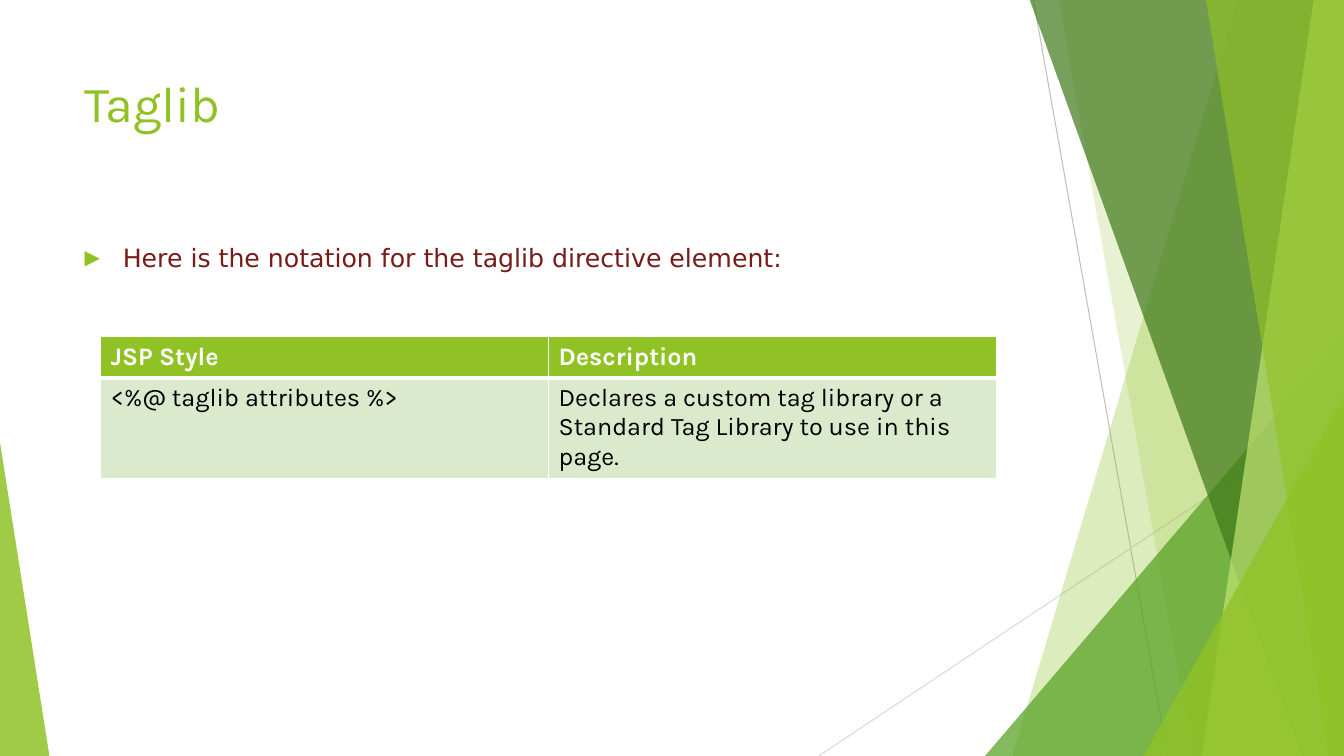
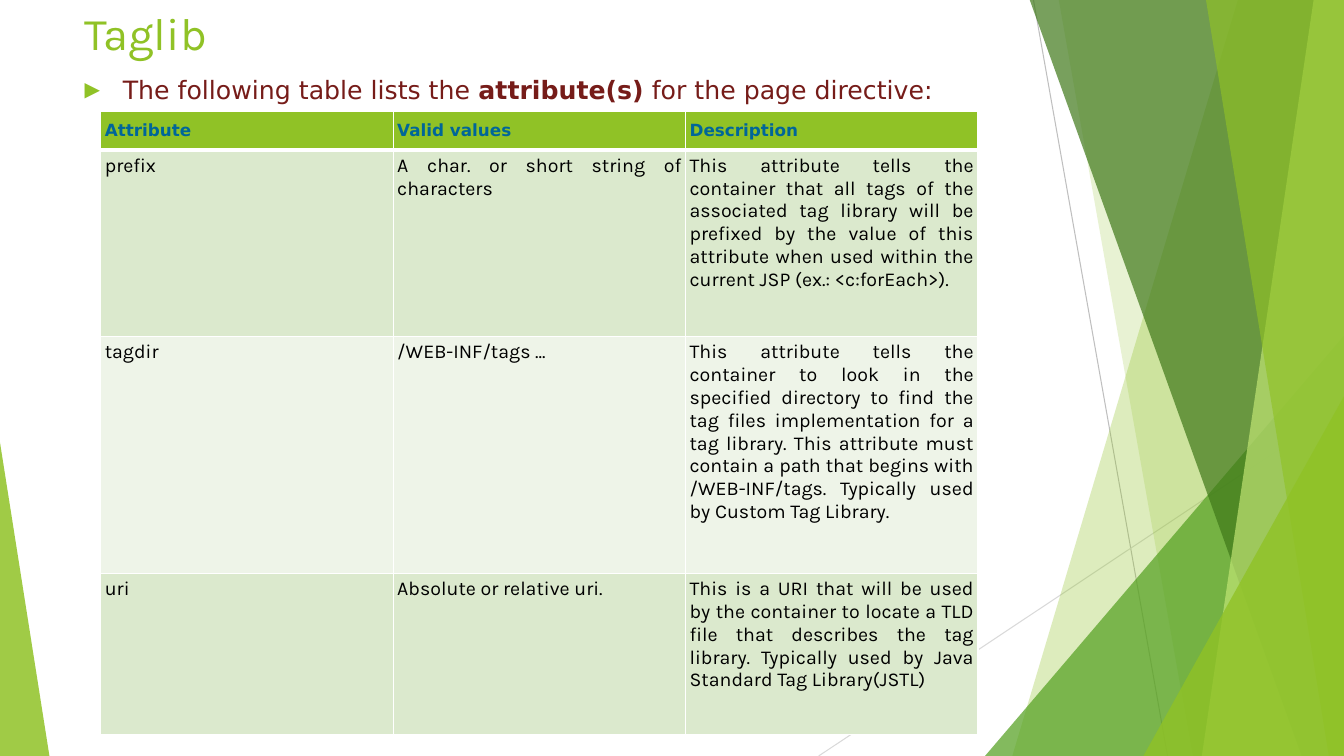
from lxml import etree
from pptx import Presentation
from pptx.dml.color import RGBColor
from pptx.enum import shapes, text
from pptx.oxml.ns import qn
from pptx.util import Inches, Pt

COLORS = {
    "lime": "90C226", "green": "54A021", "forest": "3F7819", "pale": "C0E474",
    "light_line": "D9D9D9", "gray_line": "BFBFBF", "maroon": "761C19",
    "blue": "006699", "white": "FFFFFF", "black": "000000",
    "odd_row": "DBE9CD", "even_row": "EEF4E8",
}
TITLE_FONT, BODY_FONT = "Karla", "DejaVu Sans"
WIDTH, HEIGHT = 13.33, 7.5
LEFT = 0.74

# Start x, start y, end x, end y, colour
LINES = [
    (10.25, 0, 11.58, HEIGHT, "gray_line"),
    (WIDTH, 4.03, 8.12, HEIGHT, "light_line"),
]
# Bands reach the right edge: top x, bottom x, colour, opacity in percent.
# Triangles stand on the bottom edge: left, width, height, tip (0 left, 1 right), colour, opacity.
RIBBONS = [
    ("band", (12.28, 10.04), "lime", 30),
    ("band", (10.5, 11.83), "lime", 20),
    ("triangle", (9.77, 3.56, 4.17, 1), "green", 72),
    ("band", (10.21, 12.91), "forest", 70),
    ("band", (13.03, 11.92), "pale", 70),
    ("band", (11.96, 13.18), "lime", 65),
    ("triangle", (11.34, 1.99, 3.57, 1), "lime", 80),
    ("triangle", (0, 0.49, 3.11, 0), "lime", 85),
]

PAGES = [
    {
        "title": "Taglib", "title_box": (LEFT, 0.67, 9.4, 1.44), "title_size": 36,
        "body": [("Here is the notation for the taglib directive element:", False)],
        "body_box": (LEFT, 2.36, 9.4, 4.24),
        "table": {
            "at": (1, 3.34), "column": 4.44, "heights": [0.41, 0.96],
            "head": {"size": 18, "font": TITLE_FONT, "color": "white"},
            "cell_size": 18,
            "rows": [
                ("JSP Style", "Description"),
                ("<%@ taglib attributes %>",
                 "Declares a custom tag library or a Standard Tag Library to use in this page."),
            ],
        },
    },
    {
        "title": "Taglib", "title_box": (LEFT, 0, 9.4, 0.69), "title_size": 32.4,
        "body": [("The following table lists the ", False), ("attribute(s)", True),
                 (" for the page directive:", False)],
        "body_box": (LEFT, 0.69, 9.61, 6.61),
        "table": {
            "at": (1, 1.11), "column": 2.9, "heights": [0.38, 1.85, 2.35, 1.6],
            "head": {"size": 12, "font": BODY_FONT, "color": "blue"},
            "cell_size": 14, "inset": 0.04, "justify": True,
            "rows": [
                ("Attribute", "Valid values", "Description"),
                ("prefix", "A char. or short string of characters",
                 "This attribute tells the container that all tags of the associated tag library "
                 "will be prefixed by the value of this attribute when used within the current "
                 "JSP (ex.: <c:forEach>)."),
                ("tagdir", "/WEB-INF/tags ...",
                 "This attribute tells the container to look in the specified directory to find "
                 "the tag files implementation for a tag library. This attribute must contain a "
                 "path that begins with /WEB-INF/tags. Typically used by Custom Tag Library."),
                ("uri", "Absolute or relative uri.",
                 "This is a URI that will be used by the container to locate a TLD file that "
                 "describes the tag library. Typically used by Java Standard Tag Library(JSTL)"),
            ],
        },
    },
]


def rgb(name):
    return RGBColor.from_string(COLORS[name])


def inches(values):
    return [Inches(value) for value in values]


def set_font(font, name, size, color, bold=False):
    font.name, font.size, font.bold = name, Pt(size), bold
    font.color.rgb = rgb(color)


def add_child(parent, tag, **attributes):
    return etree.SubElement(parent, qn(tag), attributes)


def add_line(page, x1, y1, x2, y2, color):
    line = page.shapes.add_connector(shapes.MSO_CONNECTOR.STRAIGHT, *inches((x1, y1, x2, y2)))
    line.line.color.rgb = rgb(color)
    line.line.width = Pt(0.75)
    add_child(line.element.spPr, "a:effectLst")
    return line


def add_ribbon(page, kind, place, color, opacity):
    if kind == "band":
        top_x, bottom_x = place
        outline = page.shapes.build_freeform(Inches(top_x), Inches(-0.01))
        corners = [(WIDTH, -0.01), (WIDTH, HEIGHT), (bottom_x, HEIGHT)]
        outline.add_line_segments([inches(corner) for corner in corners], close=True)
        ribbon = outline.convert_to_shape()
    else:
        left, width, height, tip = place
        ribbon = page.shapes.add_shape(shapes.MSO_SHAPE.ISOSCELES_TRIANGLE,
                                       *inches((left, HEIGHT - height, width, height)))
        ribbon.adjustments[0] = tip
    ribbon.shadow.inherit = False
    ribbon.line.fill.background()
    ribbon.fill.solid()
    ribbon.fill.fore_color.rgb = rgb(color)
    fill_color = next(ribbon.element.iter(qn("a:srgbClr")))
    add_child(fill_color, "a:alpha", val=str(opacity * 1000))
    return ribbon


def decorate(layout, page):
    """Draw the background on a page, then move it to the layout all pages share."""
    parts = [add_line(page, *line) for line in LINES]
    parts += [add_ribbon(page, *ribbon) for ribbon in RIBBONS]
    for part in parts:
        layout.shapes.element.append(part.element)


def add_title(page, content):
    title = page.shapes.title
    title.left, title.top, title.width, title.height = inches(content["title_box"])
    frame = title.text_frame
    frame.text = content["title"]
    frame.vertical_anchor = text.MSO_ANCHOR.TOP
    frame.auto_size = text.MSO_AUTO_SIZE.NONE
    para = frame.paragraphs[0]
    para.alignment = text.PP_ALIGN.LEFT
    set_font(para.font, TITLE_FONT, content["title_size"], "lime")


def add_body(page, content):
    box = page.shapes.add_textbox(*inches(content["body_box"]))
    box.text_frame.word_wrap = True
    para = box.text_frame.paragraphs[0]
    for words, bold in content["body"]:
        span = para.add_run()
        span.text = words
        set_font(span.font, BODY_FONT, 18, "maroon", bold)
    properties = para._p.get_or_add_pPr()
    indent = Inches(0.38)
    properties.set("marL", str(indent))
    properties.set("indent", str(-indent))
    add_child(add_child(properties, "a:buClr"), "a:srgbClr", val=COLORS["lime"])
    add_child(properties, "a:buSzPct", val="80000")
    add_child(properties, "a:buFont", typeface=BODY_FONT)
    add_child(properties, "a:buChar", char="▶")


def set_borders(cell, bottom):
    properties = cell._tc.get_or_add_tcPr()
    for side, points in (("L", 1), ("R", 1), ("T", 1), ("B", bottom)):
        border = add_child(properties, f"a:ln{side}", w=str(Pt(points)))
        add_child(add_child(border, "a:solidFill"), "a:srgbClr", val=COLORS["white"])


def add_grid(page, grid):
    rows, heights = grid["rows"], grid["heights"]
    count = len(rows[0])
    size = (count * grid["column"], sum(heights))
    table = page.shapes.add_table(len(rows), count, *inches(grid["at"] + size)).table
    for column in table.columns:
        column.width = Inches(grid["column"])
    for row_number, (words_in_row, height) in enumerate(zip(rows, heights)):
        table.rows[row_number].height = Inches(height)
        is_head = row_number == 0
        fill = "lime" if is_head else "odd_row" if row_number % 2 else "even_row"
        for column_number, words in enumerate(words_in_row):
            cell = table.cell(row_number, column_number)
            cell.text = words
            set_borders(cell, 3 if is_head else 1)
            cell.fill.solid()
            cell.fill.fore_color.rgb = rgb(fill)
            if "inset" in grid:
                inset = Inches(grid["inset"])
                cell.margin_left = cell.margin_right = inset
                cell.margin_top = cell.margin_bottom = inset
            para = cell.text_frame.paragraphs[0]
            if is_head:
                head = grid["head"]
                set_font(para.font, head["font"], head["size"], head["color"], True)
                cell.vertical_anchor = text.MSO_ANCHOR.MIDDLE
            else:
                set_font(para.font, TITLE_FONT, grid["cell_size"], "black")
                if grid.get("justify"):
                    para.alignment = text.PP_ALIGN.JUSTIFY


def main():
    deck = Presentation()
    deck.slide_width, deck.slide_height = inches((WIDTH, HEIGHT))
    layout = deck.slide_layouts.get_by_name("Title Only")
    for number, content in enumerate(PAGES):
        page = deck.slides.add_slide(layout)
        if number == 0:
            decorate(layout, page)
        add_title(page, content)
        add_body(page, content)
        add_grid(page, content["table"])
    deck.save("out.pptx")


if __name__ == "__main__":
    main()
